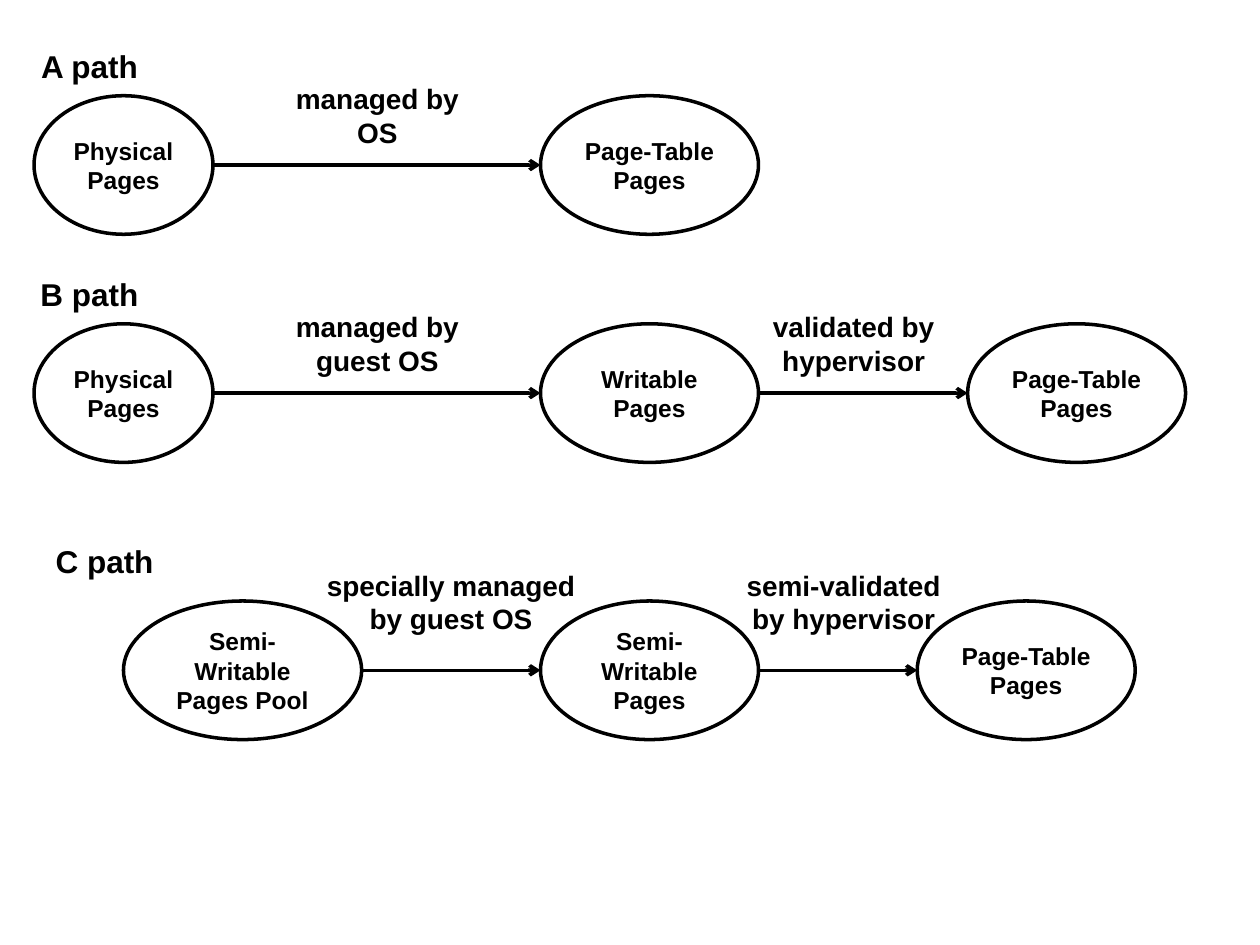
import pptx
import pptx.util
import pptx.dml.color
import pptx.enum.shapes
import pptx.enum.text
from lxml import etree
from pptx.oxml.ns import qn
from pptx.util import Inches

COLORS = {"ink": "000000", "paper": "FFFFFF"}
FONT = "Arial"
STAGE_HEIGHT = 1.1
CAPTION_HEIGHT = 0.95

# Stages are (left, width, lines); steps are (left, width, caption).
PHYSICAL = (0.27, 1.42, ["Physical", "Pages"])
PATHS = [
    {"title": "A path", "title_width": 1.18, "title_top": 0.05,
     "stage_top": 0.76, "step_top": 0.44,
     "stages": [PHYSICAL, (4.29, 1.73, ["Page-Table", "Pages"])],
     "steps": [(2.09, 1.81, "managed by OS")]},
    {"title": "B path", "title_width": 1.18, "title_top": 1.86,
     "stage_top": 2.57, "step_top": 2.25,
     "stages": [PHYSICAL, (4.29, 1.73, ["Writable", "Pages"]),
                (7.68, 1.73, ["Page-Table", "Pages"])],
     "steps": [(2.09, 1.81, "managed by guest OS"),
               (5.87, 1.81, "validated by hypervisor")]},
    {"title": "C path", "title_width": 1.42, "title_top": 3.98,
     "stage_top": 4.77, "step_top": 4.3,
     "stages": [(0.98, 1.89, ["Semi-Writable", "Pages Pool"]),
                (4.29, 1.73, ["Semi-Writable", "Pages"]),
                (7.28, 1.73, ["Page-Table", "Pages"])],
     "steps": [(2.4, 2.36, "specially managed by guest OS"),
               (5.79, 1.81, "semi-validated by hypervisor")]},
]


def color(name):
    return pptx.dml.color.RGBColor.from_string(COLORS[name])


def write_lines(frame, lines, size):
    """Fill a text frame with bold centred paragraphs."""
    frame.word_wrap = True
    frame.vertical_anchor = pptx.enum.text.MSO_ANCHOR.MIDDLE
    for index, line in enumerate(lines):
        paragraph = frame.add_paragraph() if index else frame.paragraphs[0]
        paragraph.alignment = pptx.enum.text.PP_ALIGN.CENTER
        run = paragraph.add_run()
        run.text = line
        run.font.name = FONT
        run.font.size = pptx.util.Pt(size)
        run.font.bold = True
        run.font.color.rgb = color("ink")


def set_outline(line):
    line.color.rgb = color("ink")
    line.width = pptx.util.Pt(2)


def add_caption(slide, left, top, width, text, size):
    caption = slide.shapes.add_textbox(
        Inches(left), Inches(top), Inches(width), Inches(CAPTION_HEIGHT))
    write_lines(caption.text_frame, [text], size)


def add_stage(slide, left, top, width, lines):
    stage = slide.shapes.add_shape(
        pptx.enum.shapes.MSO_SHAPE.OVAL,
        Inches(left), Inches(top), Inches(width), Inches(STAGE_HEIGHT))
    stage.shadow.inherit = False
    stage.fill.solid()
    stage.fill.fore_color.rgb = color("paper")
    set_outline(stage.line)
    write_lines(stage.text_frame, lines, 14)


def add_arrow(slide, start, end, y):
    arrow = slide.shapes.add_connector(
        pptx.enum.shapes.MSO_CONNECTOR.STRAIGHT,
        Inches(start), Inches(y), Inches(end), Inches(y))
    set_outline(arrow.line)
    etree.SubElement(arrow.line._get_or_add_ln(), qn("a:tailEnd"), type="arrow")
    etree.SubElement(arrow._element.spPr, qn("a:effectLst"))


def add_path(slide, path):
    add_caption(slide, 0.12, path["title_top"], path["title_width"],
                path["title"], 18)
    stages = path["stages"]
    middle = path["stage_top"] + STAGE_HEIGHT / 2
    for (left, width, _), (next_left, _, _) in zip(stages, stages[1:]):
        add_arrow(slide, left + width, next_left, middle)
    for left, width, text in path["steps"]:
        add_caption(slide, left, path["step_top"], width, text, 16)
    for left, width, lines in stages:
        add_stage(slide, left, path["stage_top"], width, lines)


def main():
    deck = pptx.Presentation()
    deck.slide_width = Inches(10)
    deck.slide_height = Inches(7.5)
    slide = deck.slides.add_slide(deck.slide_layouts[6])
    for path in PATHS:
        add_path(slide, path)
    deck.save("out.pptx")


if __name__ == "__main__":
    main()
